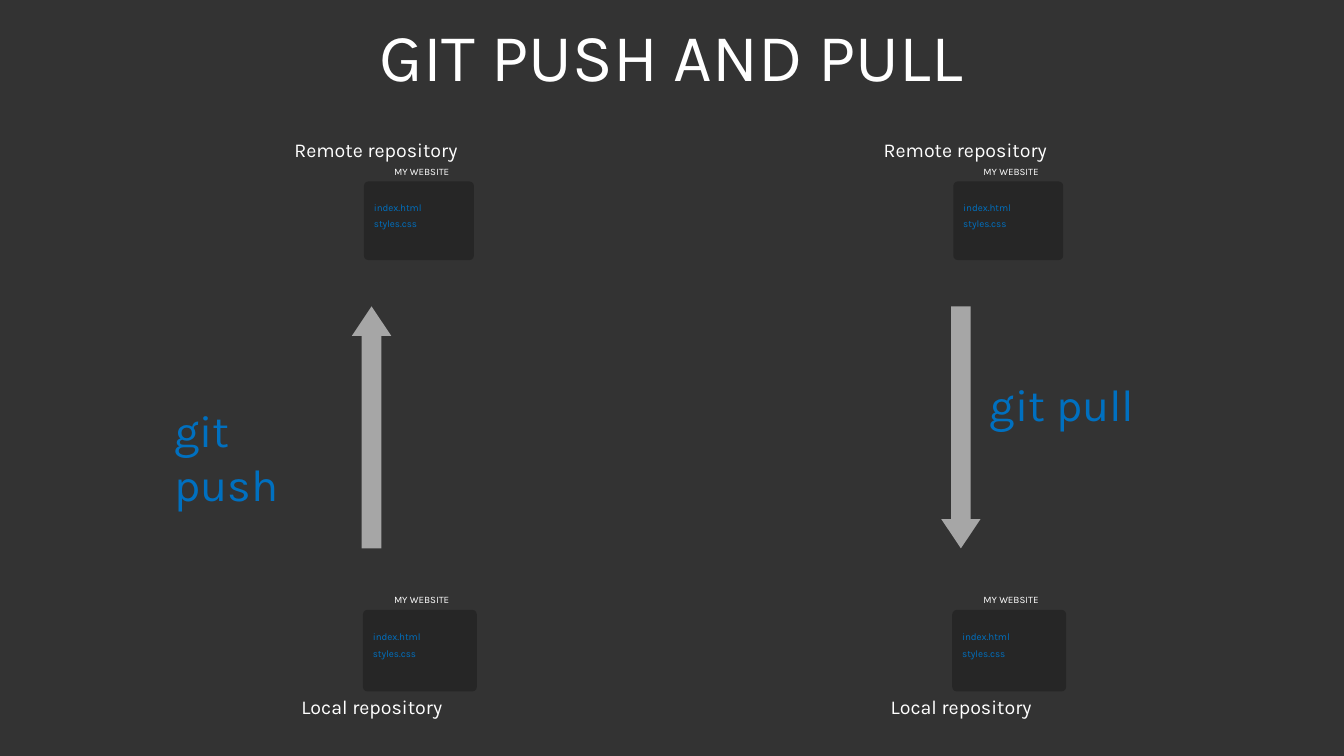
from dataclasses import dataclass

from pptx import Presentation
from pptx.dml.color import RGBColor
from pptx.enum.shapes import MSO_SHAPE
from pptx.enum.text import PP_ALIGN
from pptx.util import Inches, Pt

ROUND_RECT = MSO_SHAPE.ROUNDED_RECTANGLE
UP_ARROW = MSO_SHAPE.UP_ARROW
LEFT, CENTER = PP_ALIGN.LEFT, PP_ALIGN.CENTER

FONT = "Karla"
WHITE, BLUE, GRAY, DARK, BACKGROUND = "FFFFFF", "0070C0", "A6A6A6", "262626", "333333"
FILES = ("index.html", "styles.css")
COLUMN_STEP = 5.845


@dataclass
class Repository:
    label: str
    label_left: float
    label_top: float
    label_width: float
    left: float
    top: float
    width: float
    height: float


@dataclass
class Command:
    text: str
    left: float
    top: float
    width: float
    wrap: bool
    rotation: int


REPOSITORIES = (
    Repository("Local repository", 2.89, 6.84, 1.68, 3.6, 6.05, 1.13, 0.81),
    Repository("Remote repository", 2.82, 1.32, 1.91, 3.61, 1.8, 1.09, 0.78),
)
COMMANDS = (
    Command("git push", 1.63, 3.95, 1.6, True, 0),
    Command("git pull", 9.72, 3.69, 1.64, False, 180),
)


def rgb(color: str) -> RGBColor:
    return RGBColor.from_string(color)


def add_text(shapes, text: str, left: float, top: float, width: float, height: float,
             size: int, color: str, align=LEFT, wrap: bool = True) -> None:
    box = shapes.add_textbox(Inches(left), Inches(top), Inches(width), Inches(height))
    tf = box.text_frame
    tf.word_wrap = wrap
    p = tf.paragraphs[0]
    p.text = text
    p.alignment = align
    p.font.name = FONT
    p.font.size = Pt(size)
    p.font.color.rgb = rgb(color)


def add_block(shapes, kind, left: float, top: float, width: float, height: float,
              color: str, adjustments: tuple[float, ...]):
    sp = shapes.add_shape(kind, Inches(left), Inches(top), Inches(width), Inches(height))
    sp.shadow.inherit = False
    sp.fill.solid()
    sp.fill.fore_color.rgb = rgb(color)
    sp.line.fill.background()
    for i, value in enumerate(adjustments):
        sp.adjustments[i] = value
    return sp


def add_repository(s, repo: Repository, dx: float) -> None:
    shapes = s.shapes.add_group_shape().shapes
    left = repo.left + dx
    add_block(shapes, ROUND_RECT, left, repo.top, repo.width, repo.height, DARK, (0.057,))
    for i, name in enumerate(FILES):
        add_text(shapes, name, left, repo.top + 0.2 * repo.height * (i + 1),
                 repo.width, 0.22, 7, BLUE)
    add_text(shapes, "MY WEBSITE", 3.81 + dx, repo.top - 0.205, repo.width, 0.22, 7, WHITE)
    add_text(shapes, repo.label, repo.label_left + dx, repo.label_top,
             repo.label_width, 0.34, 14, WHITE, wrap=False)


def main() -> None:
    prs = Presentation()
    prs.slide_width, prs.slide_height = Inches(13.33), Inches(7.5)
    s = prs.slides.add_slide(prs.slide_layouts[6])
    s.background.fill.solid()
    s.background.fill.fore_color.rgb = rgb(BACKGROUND)

    # Title
    add_text(s.shapes, "GIT PUSH AND PULL", 2.41, 0.09, 8.5, 0.91, 48, WHITE, CENTER)

    # One column per command: two repositories joined by an arrow
    for column, command in enumerate(COMMANDS):
        dx = column * COLUMN_STEP
        for repo in REPOSITORIES:
            add_repository(s, repo, dx)
        arrow = add_block(s.shapes, UP_ARROW, 3.49 + dx, 3.04, 0.39, 2.4, GRAY, (0.5, 0.747))
        arrow.rotation = command.rotation
        add_text(s.shapes, command.text, command.left, command.top, command.width,
                 0.64, 32, BLUE, wrap=command.wrap)

    prs.save("out.pptx")


if __name__ == "__main__":
    main()
